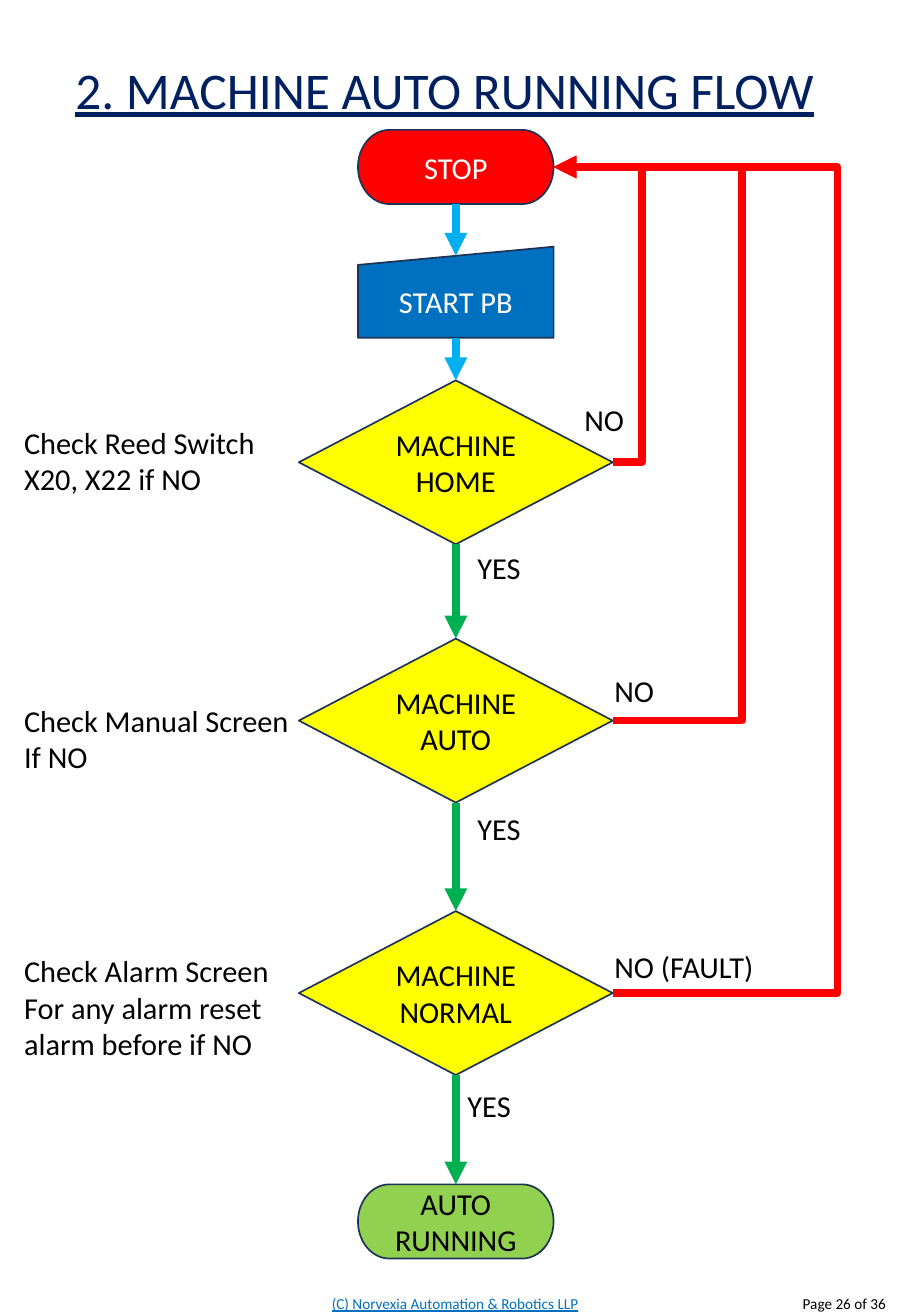
from lxml import etree
from pptx import Presentation
from pptx.dml.color import RGBColor
from pptx.enum.shapes import MSO_CONNECTOR, MSO_SHAPE
from pptx.enum.text import MSO_ANCHOR, PP_ALIGN
from pptx.oxml.ns import qn
from pptx.util import Pt

TERMINATOR = MSO_SHAPE.FLOWCHART_TERMINATOR
MANUAL_INPUT = MSO_SHAPE.FLOWCHART_MANUAL_INPUT
DECISION = MSO_SHAPE.FLOWCHART_DECISION
STRAIGHT, ELBOW = MSO_CONNECTOR.STRAIGHT, MSO_CONNECTOR.ELBOW
LEFT, CENTER, RIGHT = PP_ALIGN.LEFT, PP_ALIGN.CENTER, PP_ALIGN.RIGHT
TOP, MIDDLE = MSO_ANCHOR.TOP, MSO_ANCHOR.MIDDLE
SITE_TOP, SITE_BOTTOM, SITE_RIGHT = 0, 2, 3

COLORS = {
    "navy": "002060", "outline": "1E3256", "red": "FF0000", "blue": "0070C0",
    "yellow": "FFFF00", "lime": "92D050", "sky": "00B0F0", "green": "00B050",
    "white": "FFFFFF", "black": "000000",
}
SIZES = {TERMINATOR: (116, 44), MANUAL_INPUT: (116, 54), DECISION: (186, 97.2)}
CENTER_X = 270.2

# text, kind, top, fill, text colour, colour of the arrow to the next step
STEPS = [
    ("STOP", TERMINATOR, 77, "red", "white", "sky"),
    ("START PB", MANUAL_INPUT, 146.2, "blue", "white", "sky"),
    ("MACHINE HOME", DECISION, 225.4, "yellow", "black", "green"),
    ("MACHINE AUTO", DECISION, 378.5, "yellow", "black", "green"),
    ("MACHINE NORMAL", DECISION, 540, "yellow", "black", "green"),
    ("AUTO RUNNING", TERMINATOR, 702, "lime", "black", None),
]
# decision, x of the vertical return run
RETURNS = [("MACHINE HOME", 380.7), ("MACHINE AUTO", 440), ("MACHINE NORMAL", 496.4)]

# lines, left, top, width, height
LABELS = [
    (["YES"], 275.8, 321.8, 63, 29),
    (["YES"], 275.8, 476.9, 63, 29),
    (["YES"], 270, 641, 63, 29),
    (["NO"], 339.3, 234.2, 63, 29),
    (["NO"], 357.1, 394.8, 63, 29),
    (["NO (FAULT)"], 357.1, 558.4, 122, 29),
    (["Check Reed Switch", "X20, X22 if NO"], 7.2, 247.7, 175, 51),
    (["Check Manual Screen", "If NO"], 7.2, 412.6, 175, 51),
    (["Check Alarm Screen", "For any alarm reset alarm before if NO"], 7.2, 560.9, 175, 73),
]


def rgb(name):
    return RGBColor.from_string(COLORS[name])


def write_text(shape, lines, size=18, color="black", align=LEFT, anchor=TOP,
               underline=None, spacing=None):
    frame = shape.text_frame
    frame.word_wrap = True
    frame.vertical_anchor = anchor
    frame.text = "\n".join(lines)
    for paragraph in frame.paragraphs:
        paragraph.alignment = align
        paragraph.line_spacing = spacing
        for run in paragraph.runs:
            run.font.name = "Calibri"
            run.font.size = Pt(size)
            run.font.underline = underline
            run.font.color.rgb = rgb(color)


def add_text(slide, lines, left, top, width, height, **text_format):
    box = slide.shapes.add_textbox(Pt(left), Pt(top), Pt(width), Pt(height))
    write_text(box, lines, **text_format)


def add_step(slide, text, kind, top, fill, color):
    width, height = SIZES[kind]
    shape = slide.shapes.add_shape(
        kind, Pt(CENTER_X - width / 2), Pt(top), Pt(width), Pt(height))
    shape.shadow.inherit = False
    shape.fill.solid()
    shape.fill.fore_color.rgb = rgb(fill)
    shape.line.color.rgb = rgb("outline")
    shape.line.width = Pt(1)
    write_text(shape, [text], color=color, align=CENTER, anchor=MIDDLE)
    return shape


def add_arrow(slide, kind, start, start_site, end, end_site, color):
    connector = slide.shapes.add_connector(kind, 0, 0, 0, 0)
    connector.begin_connect(start, start_site)
    connector.end_connect(end, end_site)
    connector.line.color.rgb = rgb(color)
    connector.line.width = Pt(4.5)
    properties = connector._element.spPr
    etree.SubElement(properties.find(qn("a:ln")), qn("a:tailEnd"), type="triangle")
    etree.SubElement(properties, qn("a:effectLst"))
    return connector


def set_bend(connector, x):
    """Place the middle run of an elbow connector at x."""
    span = connector.end_x - connector.begin_x
    ratio = round((Pt(x) - connector.begin_x) / span * 100000)
    geometry = connector._element.spPr.find(qn("a:prstGeom"))
    adjustments = geometry.find(qn("a:avLst"))
    if adjustments is None:
        adjustments = etree.SubElement(geometry, qn("a:avLst"))
    etree.SubElement(adjustments, qn("a:gd"), name="adj1", fmla=f"val {ratio}")


def main():
    presentation = Presentation()
    presentation.slide_width, presentation.slide_height = Pt(540), Pt(780)
    slide = presentation.slides.add_slide(presentation.slide_layouts[6])

    add_text(slide, ["2. MACHINE AUTO RUNNING FLOW"], 37.6, 33, 466, 44, size=30.5,
             color="navy", underline=True, spacing=0.9, anchor=MIDDLE)

    shapes = {step[0]: add_step(slide, *step[:5]) for step in STEPS}
    for step, following in zip(STEPS, STEPS[1:]):
        target = shapes[following[0]]
        arrow = add_arrow(slide, STRAIGHT, shapes[step[0]], SITE_BOTTOM,
                          target, SITE_TOP, step[5])
        if following[1] == MANUAL_INPUT:  # its slanted top is a tenth lower at the centre
            arrow.end_y = target.top + target.height // 10

    for name, lane_x in RETURNS:
        arrow = add_arrow(slide, ELBOW, shapes[name], SITE_RIGHT,
                          shapes["STOP"], SITE_RIGHT, "red")
        set_bend(arrow, lane_x)

    for label in LABELS:
        add_text(slide, *label)

    add_text(slide, ["(C) Norvexia Automation & Robotics LLP"], 178.6, 764.6, 182, 16,
             size=9, color="blue", align=CENTER, anchor=MIDDLE, underline=True)
    add_text(slide, ["Page 26 of 36 "], 462.2, 764.6, 72, 16,
             size=9, align=RIGHT, anchor=MIDDLE)
    presentation.save("out.pptx")


if __name__ == "__main__":
    main()
